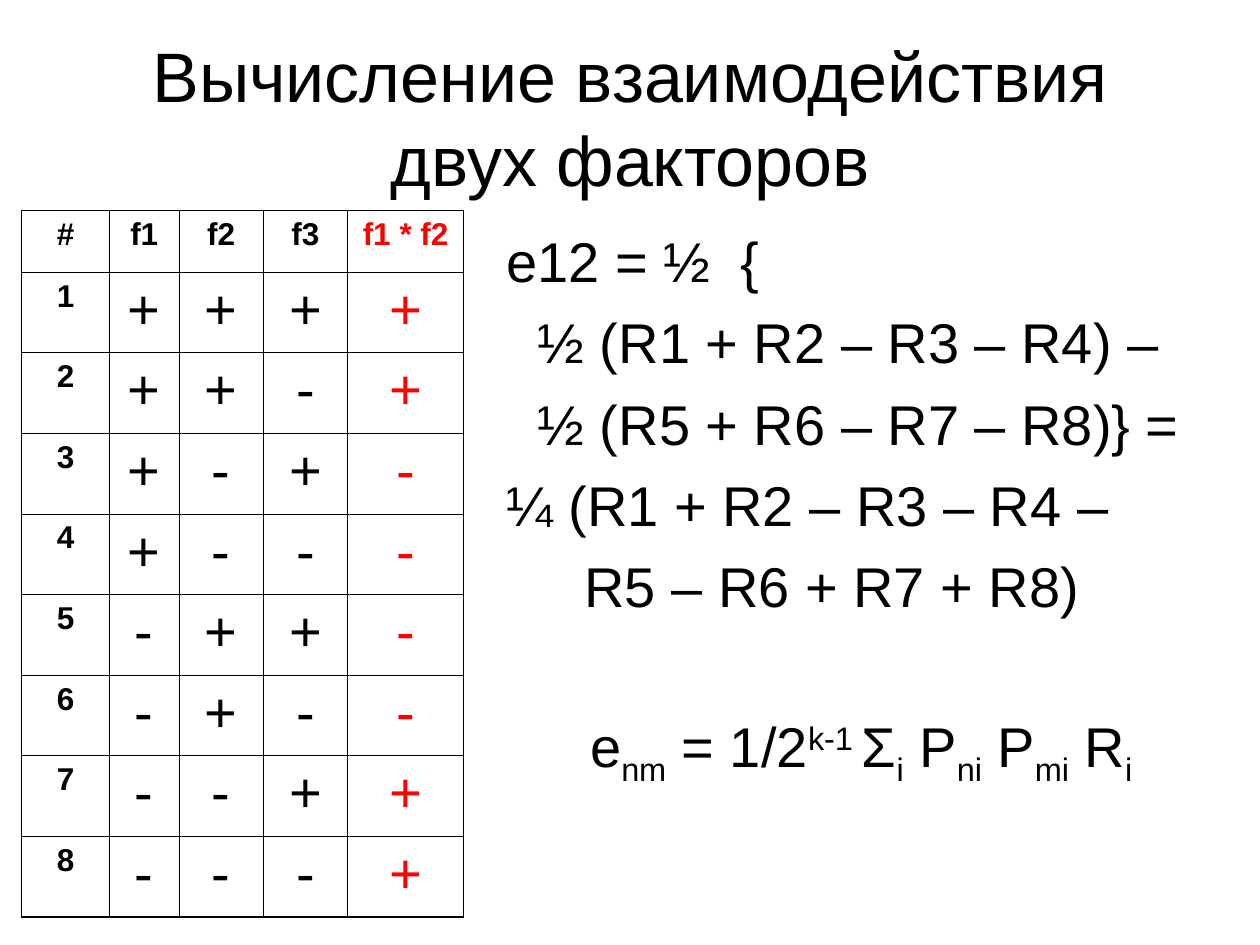
from lxml import etree
from pptx import Presentation
from pptx import util as u
from pptx.dml.color import RGBColor
from pptx.enum import text
from pptx.oxml.ns import qn

BLACK, RED = "000000", "FF0000"


def write(paragraph, content, size=32, color=BLACK, bold=False, align=text.PP_ALIGN.LEFT, baseline=0):
    """Append one formatted run; baseline is a percentage above or below the line."""
    paragraph.alignment = align
    run = paragraph.add_run()
    run.text = content
    run.font.name = "Arial"
    run.font.size = u.Pt(size)
    run.font.bold = bold
    run.font.color.rgb = RGBColor.from_string(color)
    if baseline:
        run.font._element.set("baseline", str(baseline * 1000))


def draw_border(cell, side, width):
    line = etree.SubElement(cell._tc.get_or_add_tcPr(), qn(f"a:ln{side}"), w=str(u.Pt(width)))
    fill = etree.SubElement(line, qn("a:solidFill"))
    etree.SubElement(fill, qn("a:srgbClr"), val=BLACK)


presentation = Presentation()
presentation.slide_width, presentation.slide_height = u.Inches(10), u.Inches(7.5)
slide = presentation.slides.add_slide(presentation.slide_layouts[6])
center = text.PP_ALIGN.CENTER

# Title
title = slide.shapes.add_textbox(u.Inches(0.5), u.Inches(0.3), u.Inches(9), u.Inches(1.25)).text_frame
title.word_wrap = True
title.vertical_anchor = text.MSO_ANCHOR.MIDDLE
write(title.paragraphs[0], "Вычисление взаимодействия двух факторов", size=40, align=center)

# Formulas: text and left indent in inches
formulas = slide.shapes.add_textbox(u.Inches(3.92), u.Inches(1.75), u.Inches(5.83), u.Inches(5.42)).text_frame
formulas.word_wrap = True
derivation = [
    ("e12 = ½\t{", 0),
    ("½ (R1 + R2 – R3 – R4) –", 0.25),
    ("½ (R5 + R6 – R7 – R8)} =", 0.25),
    ("¼ (R1 + R2 – R3 – R4 –", 0),
    ("R5 – R6 + R7 + R8)", 0.62),
]
for index, (line, indent) in enumerate(derivation):
    paragraph = formulas.add_paragraph() if index else formulas.paragraphs[0]
    properties = paragraph._p.get_or_add_pPr()
    properties.set("marL", str(u.Inches(indent)))
    if index:
        paragraph.space_before = u.Pt(8)
    if "\t" in line:
        tabs = etree.SubElement(properties, qn("a:tabLst"))
        etree.SubElement(tabs, qn("a:tab"), pos=str(u.Inches(1.86)), algn="l")
    write(paragraph, line)

general = formulas.add_paragraph()
general.space_before = u.Pt(53)
SUB, SUP = -25, 30
for part, baseline in [
    ("e", 0), ("nm", SUB), (" = 1/2", 0), ("k-1 ", SUP), ("Σ", 0), ("i", SUB),
    (" P", 0), ("ni", SUB), (" P", 0), ("mi", SUB), (" R", 0), ("i", SUB),
]:
    write(general, part, align=center, baseline=baseline)

# Table of factor signs; the last column is the product of f1 and f2
signs = ["+++", "++-", "+-+", "+--", "-++", "-+-", "--+", "---"]
rows = [["#", "f1", "f2", "f3", "f1 * f2"]]
for number, (f1, f2, f3) in enumerate(signs, 1):
    rows.append([str(number), f1, f2, f3, "+" if f1 == f2 else "-"])
widths = [0.7, 0.55, 0.67, 0.67, 0.92]
heights = [0.49] + [0.64] * len(signs)

table = slide.shapes.add_table(
    len(rows), len(widths), u.Inches(0.17), u.Inches(1.67), u.Inches(3.5), u.Inches(5.58)
).table
table.first_row = table.horz_banding = False
for column, width in zip(table.columns, widths):
    column.width = u.Inches(width)
last_row, last_column = len(rows) - 1, len(widths) - 1
for r, values in enumerate(rows):
    table.rows[r].height = u.Inches(heights[r])
    for c, value in enumerate(values):
        cell = table.cell(r, c)
        heading = r == 0 or c == 0
        write(cell.text_frame.paragraphs[0], value, size=18 if heading else 32, bold=heading,
              color=RED if c == last_column else BLACK, align=center)
        outer = {"L": c == 0, "R": c == last_column, "T": r == 0, "B": r == last_row}
        for side, is_outer in outer.items():
            draw_border(cell, side, 1.08 if is_outer else 0.45)
        cell.fill.background()

presentation.save("out.pptx")
